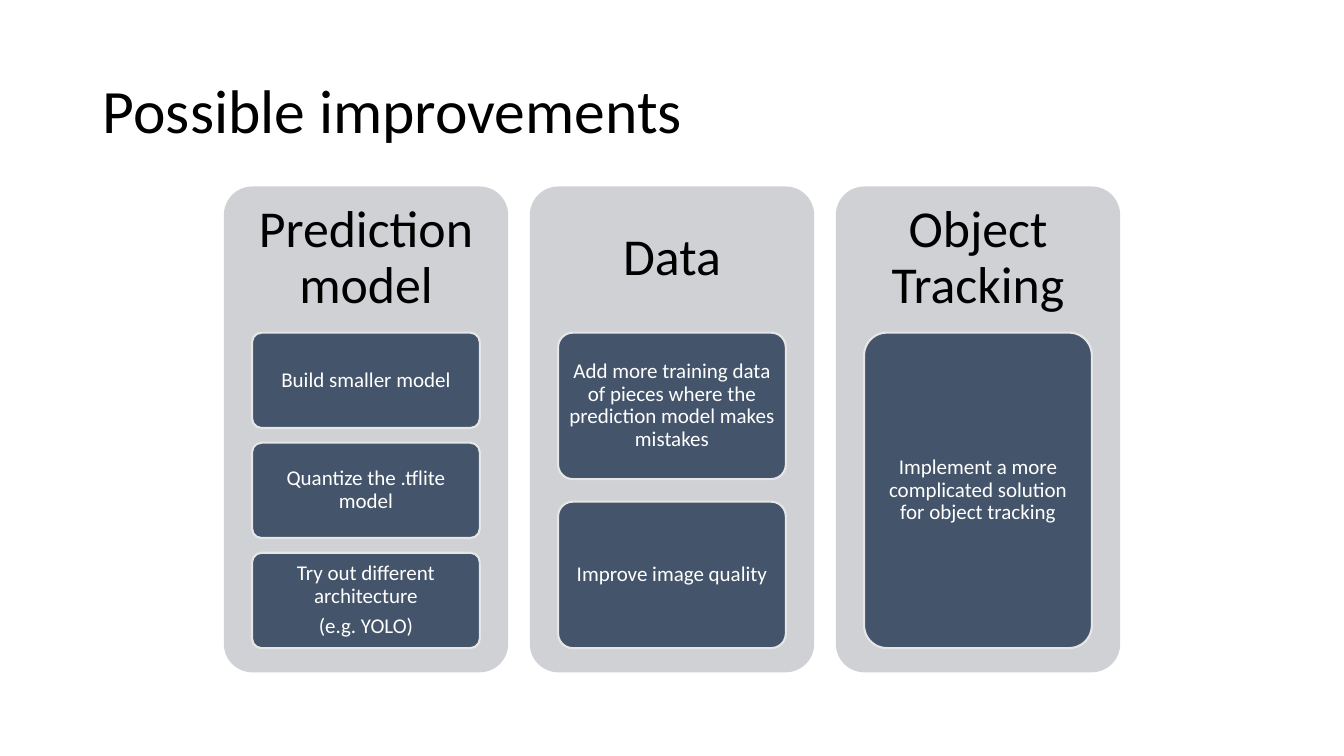
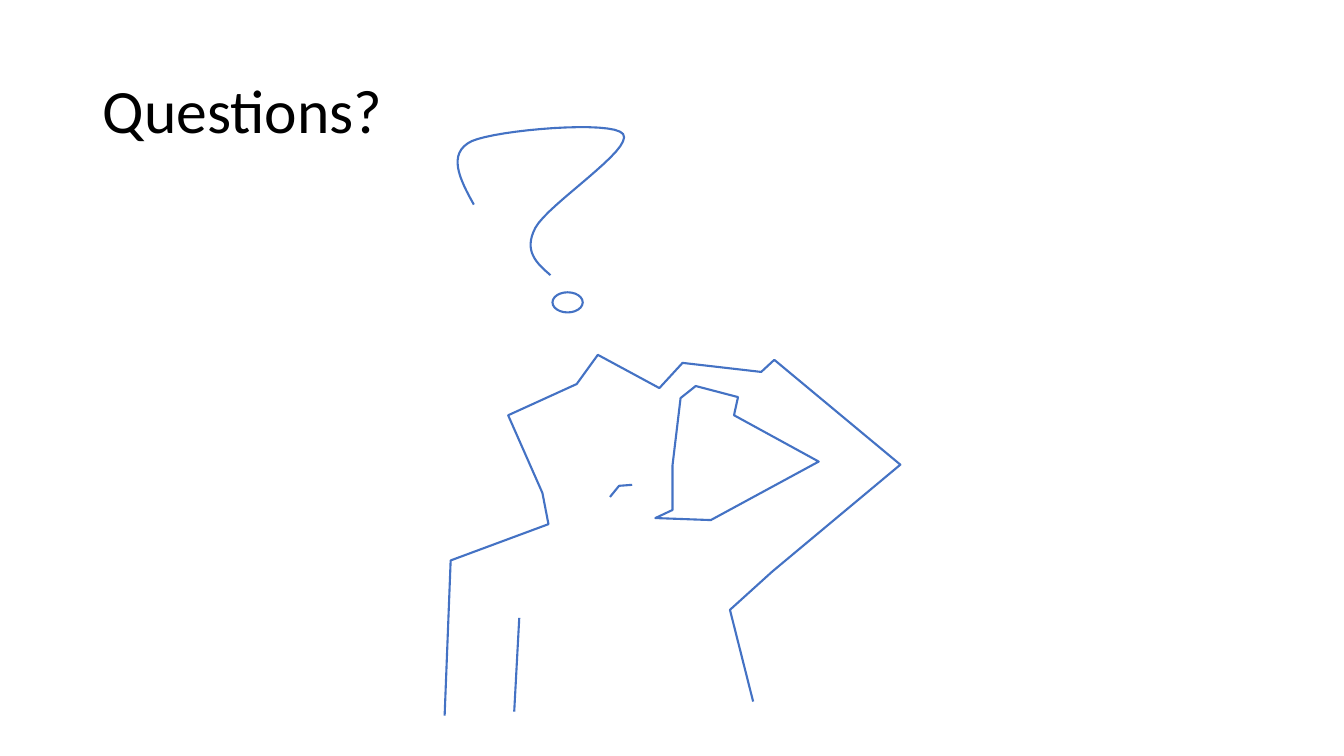
from lxml import etree
from pptx import Presentation
from pptx import util as u
from pptx.dml.color import RGBColor
from pptx.enum import shapes, text
from pptx.oxml.ns import qn

FONT = "Calibri"
BLACK, WHITE = "000000", "FFFFFF"
CARD, BOX, BOX_EDGE, INK = "CFD1D4", "44546A", "E7E6E6", "4472C4"

COLUMNS = [
    ("Prediction model", ["Build smaller model", "Quantize the .tflite model",
                          "Try out different architecture\n(e.g. YOLO)"]),
    ("Data", ["Add more training data of pieces where the prediction model makes mistakes",
              "Improve image quality"]),
    ("Object Tracking", ["Implement a more complicated solution for object tracking"]),
]

BODY = [(4.41, 7.1), (4.47, 5.56), (5.44, 5.2), (5.38, 4.89), (5.04, 4.12),
        (5.72, 3.81), (5.93, 3.52), (6.54, 3.85), (6.77, 3.6), (7.55, 3.69),
        (7.68, 3.57), (8.93, 4.61), (7.66, 5.67), (7.24, 6.05), (7.47, 6.96)]
ARM_GAP = [(6.75, 3.95), (6.9, 3.83), (7.32, 3.94), (7.28, 4.12), (8.12, 4.58),
           (7.05, 5.16), (6.5, 5.14), (6.67, 5.06), (6.67, 4.62)]
MOUTH = [(6.05, 4.93), (6.14, 4.82), (6.27, 4.81)]
QUESTION_HOOK = [(4.7, 2.03), (4.56, 1.78), (4.43, 1.52), (4.68, 1.4),
                 (4.93, 1.29), (6.08, 1.19), (6.18, 1.33),
                 (6.29, 1.48), (5.44, 2.02), (5.31, 2.26),
                 (5.19, 2.49), (5.32, 2.61), (5.46, 2.73)]


def rgb(value):
    """Turn a hex string into a colour."""
    return RGBColor.from_string(value)


def paint(s, fill, line=None):
    """Set the fill and outline of a shape and drop its shadow."""
    s.shadow.inherit = False
    s.fill.solid()
    s.fill.fore_color.rgb = rgb(fill)
    if line:
        s.line.color.rgb = rgb(line)
        s.line.width = u.Pt(1.5)
    else:
        s.line.fill.background()


def write(s, content, size, color=BLACK, align=text.PP_ALIGN.CENTER, after=0.35,
          insets=None):
    """Fill a shape with text, one paragraph for each line."""
    tf = s.text_frame
    tf.word_wrap = True
    tf.auto_size = text.MSO_AUTO_SIZE.NONE
    tf.vertical_anchor = text.MSO_ANCHOR.MIDDLE
    if insets:
        tf.margin_left, tf.margin_top, tf.margin_right, tf.margin_bottom = map(u.Inches, insets)
    for i, line in enumerate(content.split("\n")):
        p = tf.add_paragraph() if i else tf.paragraphs[0]
        p.alignment = align
        p.line_spacing = 0.9
        p.space_after = u.Pt(after * size)
        r = p.add_run()
        r.text = line
        r.font.name, r.font.size = FONT, u.Pt(size)
        r.font.color.rgb = rgb(color)


def add_slide(prs, title):
    """Add a slide with a formatted title."""
    slide = prs.slides.add_slide(prs.slide_layouts[5])
    write(slide.shapes.title, title, 44, align=text.PP_ALIGN.LEFT, after=0)
    return slide


def add_panel(slide, x, y, w, h, fill, line=None):
    """Add a rounded rectangle whose radius is a tenth of its shorter side."""
    s = slide.shapes.add_shape(shapes.MSO_SHAPE.ROUNDED_RECTANGLE,
                               *map(u.Inches, (x, y, w, h)))
    s.adjustments[0] = 0.1
    paint(s, fill, line)
    return s


def add_column(slide, x, heading, items):
    """Add a card with a heading and boxes that share its lower part evenly."""
    card = add_panel(slide, x, 1.85, 2.82, 4.82, CARD)
    write(card, heading, 37, insets=(0.07, 0.07, 0.07, 3.45))
    gap_ratio = 0.154
    h = 3.13 / (len(items) + (len(items) - 1) * gap_ratio)
    for i, item in enumerate(items):
        y = 3.3 + i * h * (1 + gap_ratio)
        box = add_panel(slide, x + 0.28, y, 2.26, h, BOX, BOX_EDGE)
        write(box, item, 15, WHITE, insets=(0.04, 0.03, 0.04, 0.03))


def bezier(points, steps=16):
    """Sample a chain of cubic curves as a list of points."""
    curve = [points[0]]
    for i in range(0, len(points) - 1, 3):
        for k in range(1, steps + 1):
            t = k / steps
            weights = ((1 - t) ** 3, 3 * t * (1 - t) ** 2, 3 * t * t * (1 - t), t ** 3)
            curve.append(tuple(sum(wt * pt[axis] for wt, pt in zip(weights, points[i:i + 4]))
                               for axis in (0, 1)))
    return curve


def add_outline(group, points, close=False):
    """Draw a white outline through points given in inches."""
    start, *rest = [(u.Inches(x), u.Inches(y)) for x, y in points]
    builder = group.shapes.build_freeform(*start)
    builder.add_line_segments(rest, close=close)
    paint(builder.convert_to_shape(), WHITE, INK)


def add_line(group, x1, y1, x2, y2):
    """Draw a straight line without a shadow."""
    s = group.shapes.add_connector(shapes.MSO_CONNECTOR.STRAIGHT,
                                   *map(u.Inches, (x1, y1, x2, y2)))
    s.line.color.rgb = rgb(INK)
    s.line.width = u.Pt(1.5)
    etree.SubElement(s._element.spPr, qn("a:effectLst"))


def build_improvements(prs):
    """Build the slide with three columns of improvements."""
    slide = add_slide(prs, "Possible improvements")
    for i, (heading, items) in enumerate(COLUMNS):
        add_column(slide, 2.22 + i * 3.035, heading, items)


def build_questions(prs):
    """Build the closing slide with a line drawing."""
    slide = add_slide(prs, "Questions?")
    group = slide.shapes.add_group_shape()
    add_outline(group, BODY)
    add_outline(group, ARM_GAP, close=True)
    add_outline(group, MOUTH)
    add_line(group, 5.1, 7.06, 5.15, 6.13)
    add_outline(group, bezier(QUESTION_HOOK))
    dot = group.shapes.add_shape(shapes.MSO_SHAPE.OVAL,
                                 *map(u.Inches, (5.48, 2.9, 0.3, 0.2)))
    paint(dot, WHITE, INK)


def main():
    """Build and save the presentation."""
    prs = Presentation()
    prs.slide_width, prs.slide_height = u.Inches(13.33), u.Inches(7.5)
    title = prs.slide_layouts[5].placeholders[0]
    title.left, title.top, title.width, title.height = map(u.Inches, (0.92, 0.4, 11.5, 1.45))
    build_improvements(prs)
    build_questions(prs)
    prs.save("out.pptx")


if __name__ == "__main__":
    main()
